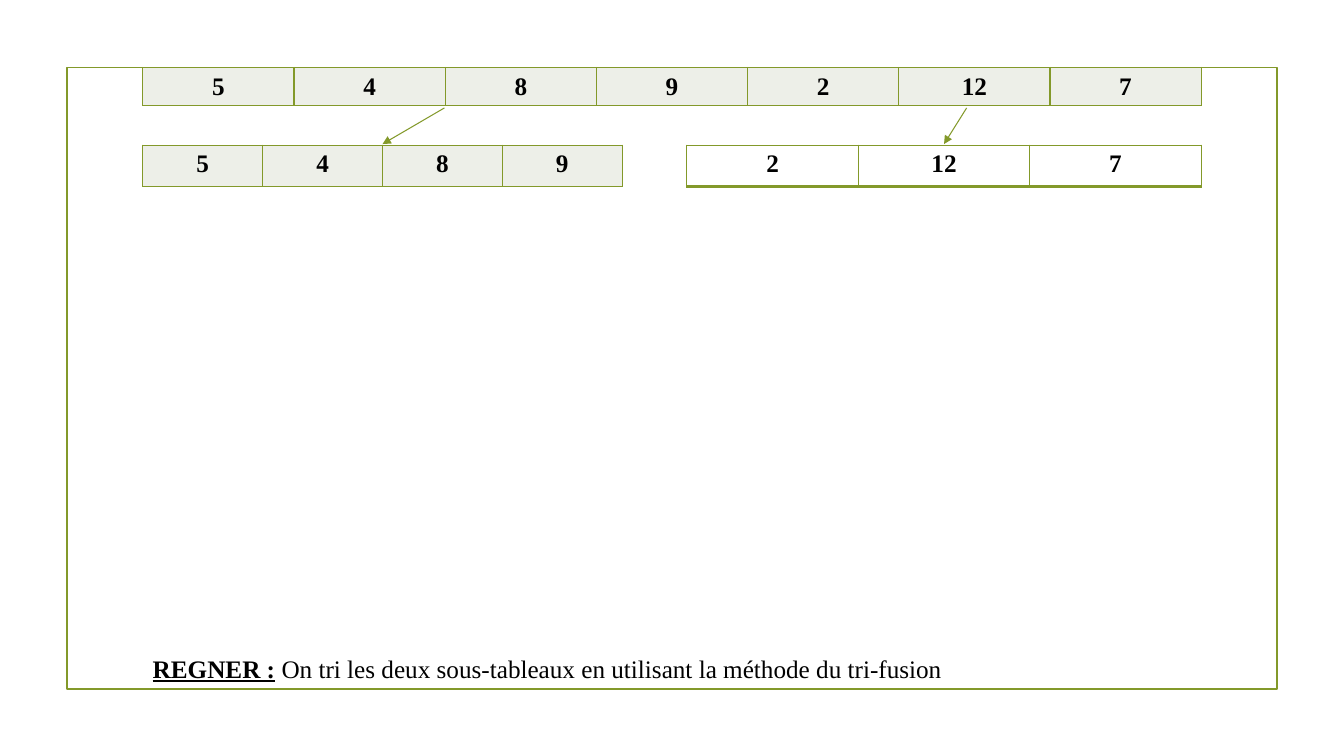
from lxml import etree
from pptx import Presentation
from pptx.dml.color import RGBColor
from pptx.enum.shapes import MSO_CONNECTOR, MSO_SHAPE
from pptx.enum.text import MSO_AUTO_SIZE, PP_ALIGN
from pptx.oxml.ns import qn
from pptx.util import Cm, Pt

STRAIGHT = MSO_CONNECTOR.STRAIGHT
RECTANGLE = MSO_SHAPE.RECTANGLE
CENTER = PP_ALIGN.CENTER
FIT_SHAPE = MSO_AUTO_SIZE.SHAPE_TO_FIT_TEXT

OLIVE = RGBColor(0x83, 0x99, 0x2A)
PALE = RGBColor(0xED, 0xEF, 0xE8)
BLACK = RGBColor(0, 0, 0)
FONT = "Times New Roman"
SIZE = Pt(18)

VALUES = ["5", "4", "8", "9", "2", "12", "7"]
SPLIT = 4
NOTE_LABEL = "REGNER :"
NOTE_TEXT = " On tri les deux sous-tableaux en utilisant la méthode du tri-fusion"

SLIDE_W, SLIDE_H = 33.87, 19.05
FRAME_W, FRAME_H = 30.48, 15.67
LEFT, WIDTH = 3.6, 26.67
TOP, SUB_TOP = 1.7, 3.66
ROW_H, SUB_H = 0.96, 1.04
LEFT_CELL, RIGHT_CELL = 3.02, 4.32
ARROW_TOP, ARROW_BOTTOM = 2.72, 3.63


def add_border(tc_pr, side, width):
    ln = etree.SubElement(tc_pr, qn("a:" + side), w=str(Pt(width)))
    fill = etree.SubElement(ln, qn("a:solidFill"))
    etree.SubElement(fill, qn("a:srgbClr"), val=str(OLIVE))


def add_array(slide, values, left, top, cell_w, height, fill=None, bottom=1):
    frame = slide.shapes.add_table(1, len(values), Cm(left), Cm(top),
                                   Cm(cell_w * len(values)), Cm(height))
    table = frame.table
    table.first_row = table.horz_banding = False
    for i, value in enumerate(values):
        table.columns[i].width = Cm(cell_w)
        cell = table.cell(0, i)
        cell.text = value
        p = cell.text_frame.paragraphs[0]
        p.alignment = CENTER
        format_font(p.font)
        p.font.bold = True
        tc_pr = cell._tc.get_or_add_tcPr()
        for side, width in (("lnL", 1), ("lnR", 1), ("lnT", 1), ("lnB", bottom)):
            add_border(tc_pr, side, width)
        if fill is None:
            cell.fill.background()
        else:
            cell.fill.solid()
            cell.fill.fore_color.rgb = fill


def format_font(font):
    font.name, font.size = FONT, SIZE
    font.color.rgb = BLACK


def add_arrow(slide, x1, x2):
    line = slide.shapes.add_connector(STRAIGHT, Cm(x1), Cm(ARROW_TOP),
                                      Cm(x2), Cm(ARROW_BOTTOM))
    line.line.color.rgb = OLIVE
    line.line.width = Pt(0.75)
    etree.SubElement(line.line._get_or_add_ln(), qn("a:tailEnd"), type="triangle")
    etree.SubElement(line._element.spPr, qn("a:effectLst"))


def add_frame(slide):
    sp = slide.shapes.add_shape(RECTANGLE, Cm((SLIDE_W - FRAME_W) / 2), Cm(TOP),
                                Cm(FRAME_W), Cm(FRAME_H))
    sp.shadow.inherit = False
    sp.fill.background()
    sp.line.color.rgb = OLIVE
    sp.line.width = Pt(1.25)


def add_note(slide):
    box = slide.shapes.add_textbox(Cm(LEFT), Cm(16.33), Cm(WIDTH), Cm(1.03))
    tf = box.text_frame
    tf.word_wrap = True
    tf.auto_size = FIT_SHAPE
    p = tf.paragraphs[0]
    format_font(p.font)
    r = p.add_run()
    r.text = NOTE_LABEL
    r.font.bold = r.font.underline = True
    p.add_run().text = NOTE_TEXT


def main():
    prs = Presentation()
    prs.slide_width, prs.slide_height = Cm(SLIDE_W), Cm(SLIDE_H)
    slide = prs.slides.add_slide(prs.slide_layouts[6])
    first, second = VALUES[:SPLIT], VALUES[SPLIT:]
    right_w = RIGHT_CELL * len(second)
    right_x = LEFT + WIDTH - right_w

    add_frame(slide)
    add_array(slide, VALUES, LEFT, TOP, WIDTH / len(VALUES), ROW_H, PALE)
    add_note(slide)
    add_array(slide, first, LEFT, SUB_TOP, LEFT_CELL, SUB_H, PALE)
    add_array(slide, second, right_x, SUB_TOP, RIGHT_CELL, SUB_H, bottom=2)
    add_arrow(slide, 11.2, LEFT + LEFT_CELL * len(first) / 2)
    add_arrow(slide, 24.36, right_x + right_w / 2)
    prs.save("out.pptx")


if __name__ == "__main__":
    main()
